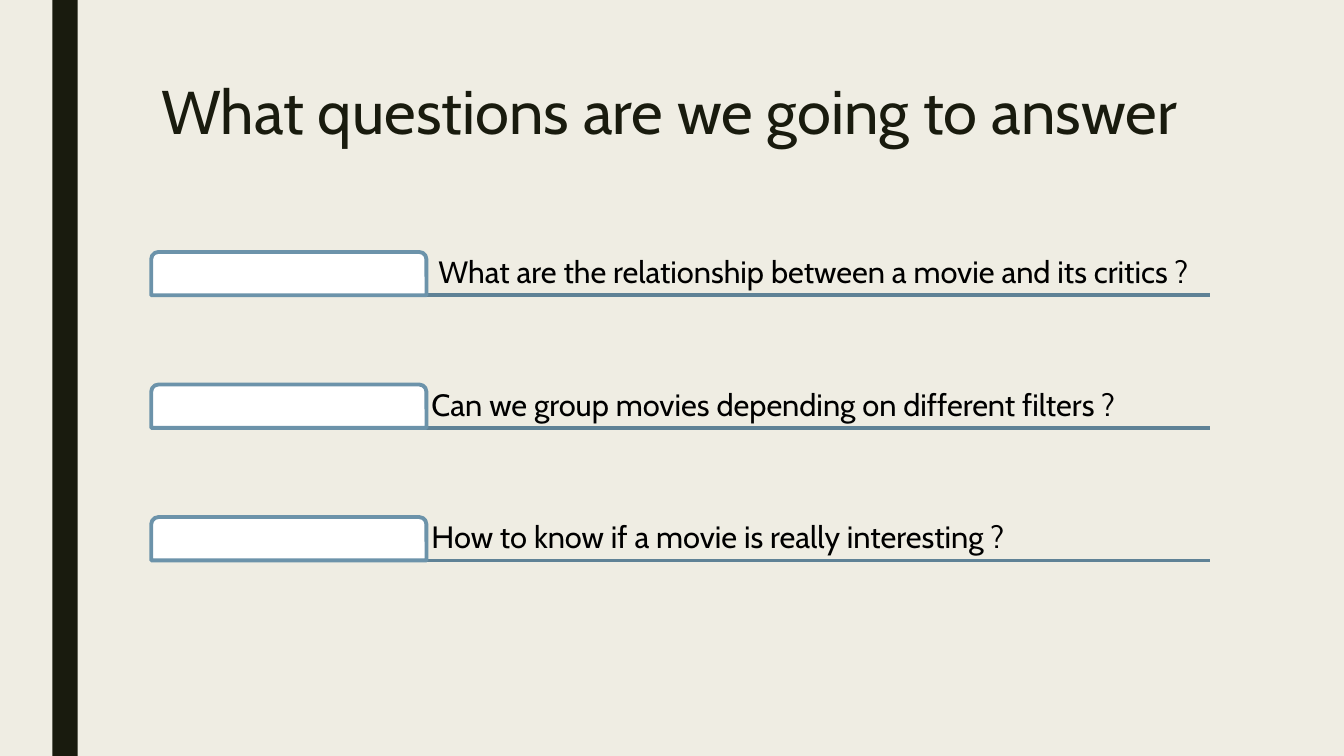
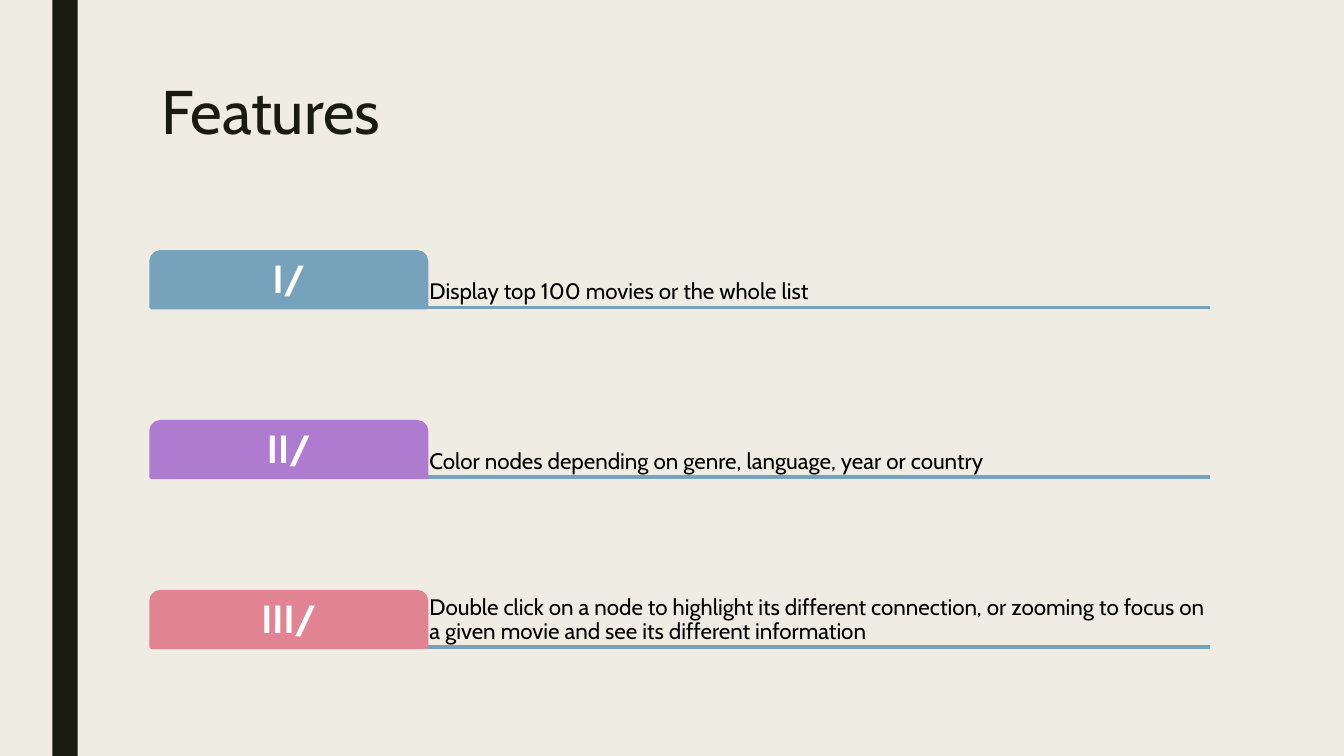
"""Build two slides of tabbed rows about exploring movies."""
from dataclasses import dataclass

from lxml.etree import SubElement
from pptx import Presentation
from pptx.dml.color import RGBColor as Rgb
from pptx.enum.shapes import MSO_CONNECTOR as Connector, MSO_SHAPE as Shape
from pptx.enum.text import MSO_ANCHOR as Anchor, PP_ALIGN as Align
from pptx.oxml.ns import qn
from pptx.util import Inches, Pt


@dataclass(frozen=True)
class Theme:
    """Colours, font and type sizes shared by the slides."""
    font: str = "Cabin"
    paper: str = "EFEDE3"
    ink: str = "191B0E"
    black: str = "000000"
    white: str = "FFFFFF"
    blue: str = "77A2BB"
    purple: str = "AE7BD0"
    pink: str = "E28394"
    outline: str = "6C93AA"
    question_rule: str = "5F8296"
    title_size: int = 44
    question_size: int = 22
    label_size: int = 28
    feature_size: int = 16
    line_width: float = 2.75
    spacing: float = 0.9


@dataclass(frozen=True)
class Box:
    """A region of the slide in inches."""
    left: float
    top: float
    width: float
    height: float

    def lengths(self):
        """Return the four lengths that python-pptx expects."""
        return tuple(Inches(n) for n in (self.left, self.top, self.width, self.height))


@dataclass(frozen=True)
class Row:
    """Wording and tab colours of one row."""
    text: str
    fill: str
    outline: str
    label: str = ""


@dataclass(frozen=True)
class RowStyle:
    """Measures and colours common to the rows of a slide."""
    height: float
    inset: float
    size: int
    rule: str


THEME = Theme()
SLIDE = Box(0, 0, 13.33, 7.5)
BAND = Box(0.52, 0, 0.25, SLIDE.height)
TITLE = Box(1.5, 0.75, 10.5, 1.62)
TAB_SHARE = 0.26


def write(shape, text, size, color, inset, anchor, align=Align.LEFT, bold=False):
    """Put one styled paragraph into a shape."""
    frame = shape.text_frame
    frame.text = text
    frame.word_wrap = True
    frame.vertical_anchor = anchor
    frame.margin_left = frame.margin_right = Inches(inset)
    frame.margin_top = frame.margin_bottom = Inches(min(inset, 0.06))
    paragraph = frame.paragraphs[0]
    paragraph.alignment = align
    paragraph.line_spacing = THEME.spacing
    for run in paragraph.runs:
        run.font.name = THEME.font
        run.font.size = Pt(size)
        run.font.bold = bold
        run.font.color.rgb = Rgb.from_string(color)


def add_panel(slide, kind, box, fill, outline=None):
    """Add a flat filled shape, outlined if a colour is given."""
    panel = slide.shapes.add_shape(kind, *box.lengths())
    panel.shadow.inherit = False
    panel.fill.solid()
    panel.fill.fore_color.rgb = Rgb.from_string(fill)
    if outline:
        panel.line.color.rgb = Rgb.from_string(outline)
        panel.line.width = Pt(THEME.line_width)
    else:
        panel.line.fill.background()
    return panel


def add_rule(slide, box, color):
    """Draw a line along the bottom edge of a box."""
    left, top, width, height = box.lengths()
    rule = slide.shapes.add_connector(
        Connector.STRAIGHT, left, top + height, left + width, top + height)
    rule.line.color.rgb = Rgb.from_string(color)
    rule.line.width = Pt(THEME.line_width)
    SubElement(rule.element.spPr, qn("a:effectLst"))


def add_row(slide, box, row, style):
    """Place a tab, its text and the rule below them."""
    tab_width = box.width * TAB_SHARE
    tab_box = Box(box.left, box.top, tab_width, box.height)
    text_box = Box(box.left + tab_width, box.top, box.width - tab_width, box.height)
    add_rule(slide, box, style.rule)
    statement = slide.shapes.add_textbox(*text_box.lengths())
    write(statement, row.text, style.size, THEME.black, style.inset, Anchor.BOTTOM)
    tab = add_panel(slide, Shape.ROUND_2_SAME_RECTANGLE, tab_box, row.fill, row.outline)
    tab.adjustments[0] = 0.167
    tab.adjustments[1] = 0
    if row.label:
        write(tab, row.label, THEME.label_size, THEME.white, 0.06,
              Anchor.MIDDLE, Align.CENTER, bold=True)


def add_rows(slide, box, rows, style):
    """Spread the rows evenly from the top to the bottom of a box."""
    pitch = (box.height - style.height) / (len(rows) - 1)
    for index, row in enumerate(rows):
        row_box = Box(box.left, box.top + index * pitch, box.width, style.height)
        add_row(slide, row_box, row, style)


def add_base(deck, title):
    """Add a slide with the shared background, side band and title."""
    slide = deck.slides.add_slide(deck.slide_layouts[6])
    slide.background.fill.solid()
    slide.background.fill.fore_color.rgb = Rgb.from_string(THEME.paper)
    add_panel(slide, Shape.RECTANGLE, BAND, THEME.ink)
    heading = slide.shapes.add_textbox(*TITLE.lengths())
    write(heading, title, THEME.title_size, THEME.ink, 0.1, Anchor.TOP)
    return slide


def build_questions(deck):
    """Build the slide of questions with empty tabs."""
    questions = (
        " What are the relationship between a movie and its critics ?",
        "Can we group movies depending on different filters ?",
        "How to know if a movie is really interesting ?",
    )
    rows = [Row(question, THEME.white, THEME.outline) for question in questions]
    style = RowStyle(0.43, 0.05, THEME.question_size, THEME.question_rule)
    slide = add_base(deck, "What questions are we going to answer")
    add_rows(slide, Box(1.5, 2.5, 10.5, 3.06), rows, style)


def build_features(deck):
    """Build the slide of features with numbered colour tabs."""
    features = (
        ("I/", THEME.blue, "Display top 100 movies or the whole list"),
        ("II/", THEME.purple, "Color nodes depending on genre, language, year or country"),
        ("III/", THEME.pink,
         "Double click on a node to highlight its different connection, or zooming "
         "to focus on a given movie and see its different information"),
    )
    rows = [Row(text, color, color, label) for label, color, text in features]
    style = RowStyle(0.55, 0.03, THEME.feature_size, THEME.blue)
    slide = add_base(deck, "Features")
    add_rows(slide, Box(1.5, 2.5, 10.5, 3.92), rows, style)


def main():
    """Build and save the presentation."""
    deck = Presentation()
    deck.slide_width = Inches(SLIDE.width)
    deck.slide_height = Inches(SLIDE.height)
    build_questions(deck)
    build_features(deck)
    deck.save("out.pptx")


main()
